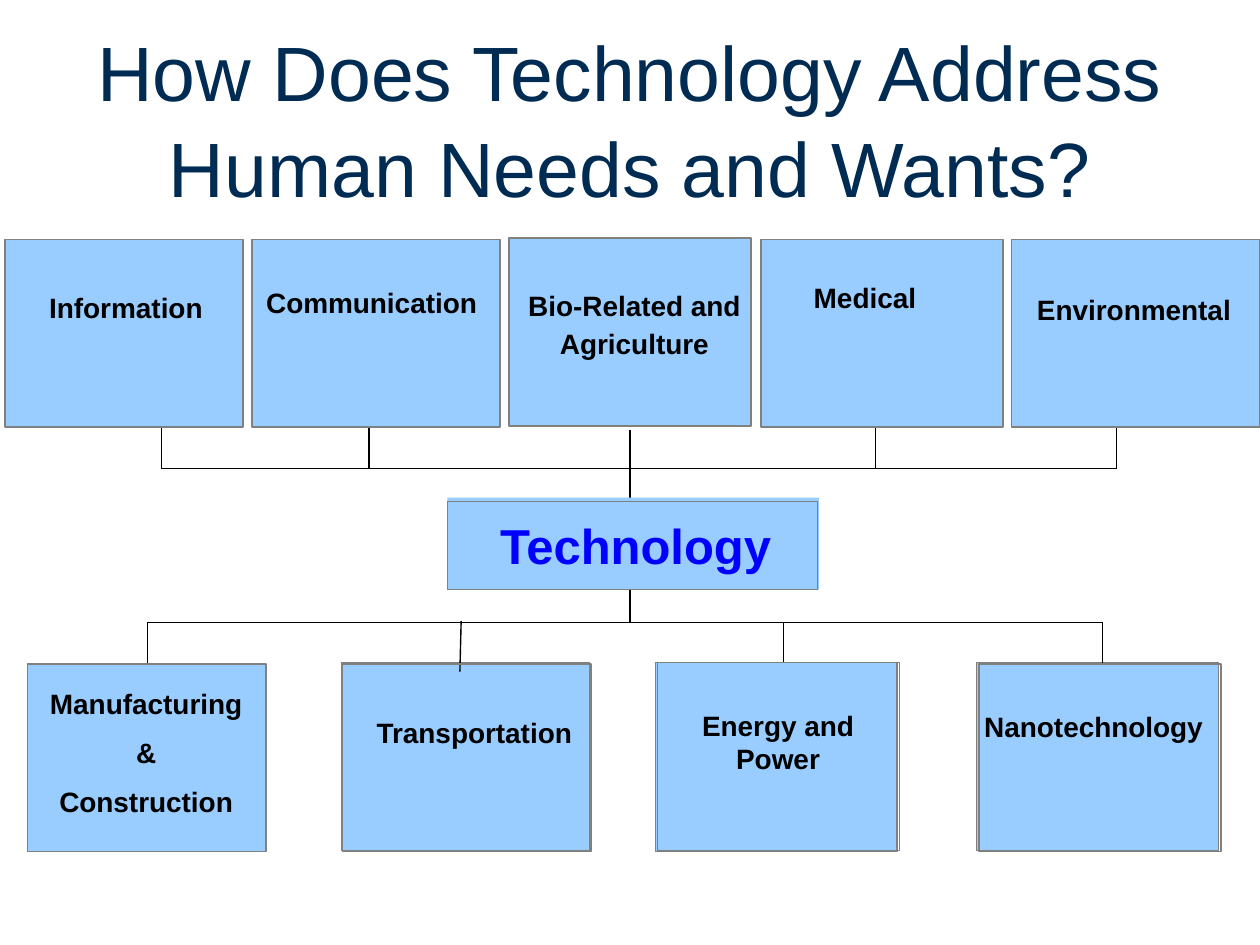
import dataclasses

import pptx
import pptx.dml.color
import pptx.enum.shapes
import pptx.enum.text
import pptx.oxml.ns
import pptx.slide
import pptx.util
from lxml import etree

Inches = pptx.util.Inches
Pt = pptx.util.Pt

SKY, GREY, BLACK = "99CCFF", "808080", "000000"


@dataclasses.dataclass
class Box:
    x: float
    y: float
    w: float
    h: float = 1.49
    fill: str = SKY
    line: str = GREY


@dataclasses.dataclass
class Label:
    text: str
    x: float
    y: float
    w: float
    h: float = 0.27
    size: int = 16
    ink: str = BLACK
    bold: bool = True
    wrap: bool = True
    gap: float = 0
    pad: float = 0
    pitch: float = 1.0


TOPS = [
    Box(6.04, 1.9, 1.92), Box(4.04, 1.89, 1.92), Box(0.04, 1.9, 1.89),
    Box(2, 1.9, 1.97), Box(8.03, 1.9, 1.97),
]
LOWS = [
    Box(7.75, 5.26, 1.92), Box(5.2, 5.26, 1.92, 1.5),
    Box(2.71, 5.26, 1.97), Box(0.22, 5.27, 1.89, line=""),
]
HUB = Box(3.55, 3.95, 2.95, 0.73, line="")
FRAMES = [
    Box(0.22, 5.27, 1.89, fill=""), Box(2.72, 5.27, 1.97, fill=""),
    Box(5.22, 5.26, 1.92, fill=""), Box(7.77, 5.27, 1.92, fill=""),
    Box(3.55, 3.98, 2.94, 0.7, fill=""),
]

TOP_BUS, LOW_BUS = 3.72, 4.94
TOP_NODES = [1.28, 3.81, 5.07, 6.34, 8.86]
LOW_NODES = [1.17, 3.69, 4.96, 6.22, 8.75]
TOP_DROPS = [1.28, 2.93, 6.95, 8.86]
LOW_DROPS = [1.17, 6.22, 8.75]

LABELS = [
    Label("How Does Technology Address Human Needs and Wants?", 0.5, 0.3, 9,
          1.25, size=44, ink="002B52", bold=False, pad=0.1, pitch=1.04),
    Label("Information", 0, 2.31, 2),
    Label("Communication", 1.95, 2.27, 2),
    Label("Bio-Related and\nAgriculture", 4.19, 2.29, 1.69, 0.57,
          wrap=False, gap=2.5),
    Label("Medical", 5.7, 2.23, 2.33),
    Label("Environmental", 8, 2.32, 2),
    Label("Technology", 3.63, 4.09, 2.83, 0.47, size=28, ink="0000FF"),
    Label("Manufacturing\n&\nConstruction", 0.2, 5.45, 1.92, 1.08, gap=8.8),
    Label("Transportation", 2.98, 5.68, 1.57, wrap=False),
    Label("Energy and Power", 5.3, 5.62, 1.75, 0.53),
    Label("Nanotechnology", 7.68, 5.63, 2),
]


def tint(code: str) -> pptx.dml.color.RGBColor:
    return pptx.dml.color.RGBColor.from_string(code)


def draw_box(slide: pptx.slide.Slide, box: Box) -> None:
    shape = slide.shapes.add_shape(
        pptx.enum.shapes.MSO_SHAPE.RECTANGLE,
        Inches(box.x), Inches(box.y), Inches(box.w), Inches(box.h))
    shape.shadow.inherit = False
    for code, fill in ((box.fill, shape.fill), (box.line, shape.line.fill)):
        if code:
            fill.solid()
            fill.fore_color.rgb = tint(code)
        else:
            fill.background()
    if box.line:
        shape.line.width = Pt(0.8)


def draw_line(slide: pptx.slide.Slide, x1: float, y1: float,
              x2: float, y2: float) -> None:
    line = slide.shapes.add_connector(
        pptx.enum.shapes.MSO_CONNECTOR.STRAIGHT,
        Inches(x1), Inches(y1), Inches(x2), Inches(y2))
    line.line.color.rgb = tint(BLACK)
    line.line.width = Pt(0.8)
    etree.SubElement(line._element.spPr, pptx.oxml.ns.qn("a:effectLst"))


def draw_bus(slide: pptx.slide.Slide, nodes: list[float], y: float,
             drops: list[float], end: float) -> None:
    """Draw a level line through the nodes and its drops down or up to end."""
    for left, right in zip(nodes, nodes[1:]):
        draw_line(slide, left, y, right, y)
    for x in drops:
        draw_line(slide, x, y, x, end)


def draw_label(slide: pptx.slide.Slide, label: Label) -> None:
    frame = slide.shapes.add_textbox(
        Inches(label.x), Inches(label.y),
        Inches(label.w), Inches(label.h)).text_frame
    frame.text = label.text
    frame.word_wrap = label.wrap
    frame.margin_left = frame.margin_right = Inches(label.pad)
    frame.margin_top = frame.margin_bottom = Inches(label.pad / 2)
    if label.pad:
        frame.vertical_anchor = pptx.enum.text.MSO_ANCHOR.MIDDLE
    for place, para in enumerate(frame.paragraphs):
        para.alignment = pptx.enum.text.PP_ALIGN.CENTER
        para.line_spacing = label.pitch
        if place:
            para.space_before = Pt(label.gap)
        for run in para.runs:
            run.font.name = "Arial"
            run.font.size = Pt(label.size)
            run.font.bold = label.bold
            run.font.color.rgb = tint(label.ink)


def main() -> None:
    deck = pptx.Presentation()
    deck.slide_width, deck.slide_height = Inches(10), Inches(7.5)
    slide = deck.slides.add_slide(deck.slide_layouts[6])
    for box in TOPS + LOWS:
        draw_box(slide, box)
    draw_line(slide, 5, 3.41, 5, LOW_BUS)
    draw_bus(slide, TOP_NODES, TOP_BUS, TOP_DROPS, 3.4)
    draw_bus(slide, LOW_NODES, LOW_BUS, LOW_DROPS, 5.26)
    draw_line(slide, 3.66, 4.93, 3.65, 5.33)
    for box in [HUB] + FRAMES:
        draw_box(slide, box)
    for label in LABELS:
        draw_label(slide, label)
    deck.save("out.pptx")


if __name__ == "__main__":
    main()
